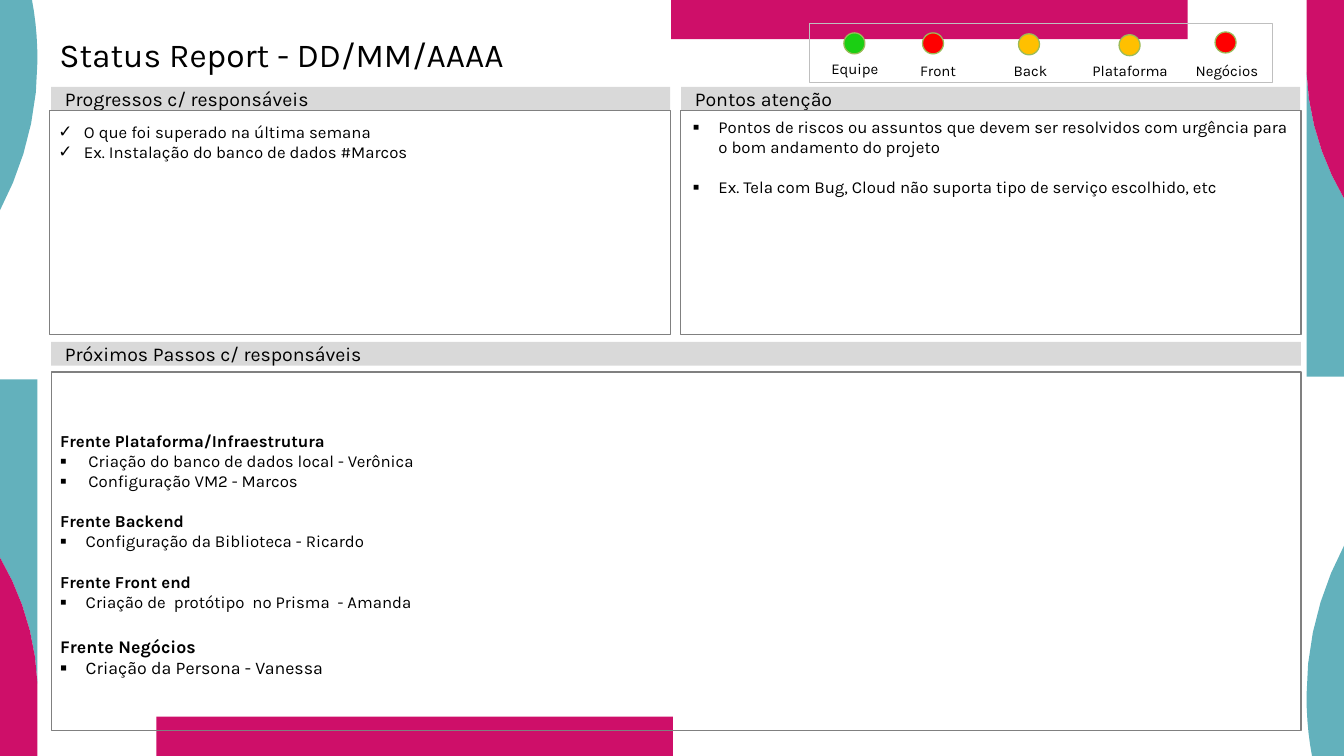
from lxml import etree
from pptx import Presentation
from pptx.dml.color import RGBColor
from pptx.enum.shapes import MSO_SHAPE
from pptx.enum.text import MSO_ANCHOR, PP_ALIGN
from pptx.oxml.ns import qn
from pptx.util import Inches, Pt

RECT, OVAL = MSO_SHAPE.RECTANGLE, MSO_SHAPE.OVAL
TOP, MIDDLE, BOTTOM = MSO_ANCHOR.TOP, MSO_ANCHOR.MIDDLE, MSO_ANCHOR.BOTTOM
LEFT, CENTER = PP_ALIGN.LEFT, PP_ALIGN.CENTER

WIDE, HIGH = 14.7, 8.27
FONT = "Karla"
CUTS = 5  # straight pieces per curve
COLORS = {
    "teal": "63B1BC", "pink": "CE0F69", "black": "000000",
    "band": "D9D9D9", "edge": "808080", "frame": "BFBFBF",
    "ring": "9BBB59", "green": "1BCF13", "red": "FF0000", "amber": "FFC000",
}

# Left edge outlines: a pair is a corner, six numbers are a curve
EDGES = [
    ("teal", [(0.35, 0), (0, 0), (0, 2.3), (0.26, 1.81, 0.41, 1.25, 0.41, 0.66),
              (0.41, 0.43, 0.39, 0.21, 0.35, 0)]),
    ("teal", [(0.41, 7.48), (0.41, 4.15), (0, 4.15), (0, 6.1),
              (0.24, 6.51, 0.39, 6.98, 0.41, 7.48)]),
    ("pink", [(0, 6.1), (0, 8.27), (0.41, 8.27), (0.41, 7.48),
              (0.39, 6.98, 0.24, 6.51, 0, 6.1)]),
]

# Name, label left and top, light left and top, colour
LIGHTS = [
    ("Equipe", 8.86, 0.65, 9.23, 0.36, "green"),
    ("Front", 9.77, 0.67, 10.09, 0.36, "red"),
    ("Back", 10.78, 0.67, 11.14, 0.37, "amber"),
    ("Plataforma", 11.87, 0.67, 12.24, 0.38, "amber"),
    ("Negócios", 12.93, 0.67, 13.29, 0.35, "red"),
]

BANDS = [
    ("Progressos c/ responsáveis", 0.56, 0.95, 6.77),
    ("Pontos atenção", 7.45, 0.95, 6.77),
    ("Próximos Passos c/ responsáveis", 0.56, 3.74, 13.67),
]

DONE = ["O que foi superado na última semana",
        "Ex. Instalação do banco de dados #Marcos"]
RISKS = ["Pontos de riscos ou assuntos que devem ser resolvidos com urgência "
         "para o bom andamento do projeto",
         "Ex. Tela com Bug, Cloud não suporta tipo de serviço escolhido, etc"]

# Heading, size, space above, bullet indent, tasks
FRONTS = [
    ("Frente Plataforma/Infraestrutura", 13.2, 0, 0.31,
     ["Criação do banco de dados local - Verônica", "Configuração VM2 - Marcos"]),
    ("Frente Backend", 13.2, 15.8, 0.28, ["Configuração da Biblioteca - Ricardo"]),
    ("Frente Front end", 13.2, 15.8, 0.28,
     ["Criação de  protótipo  no Prisma  - Amanda"]),
    ("Frente Negócios", 14, 19, 0.28, ["Criação da Persona - Vanessa"]),
]


def rgb(name):
    return RGBColor.from_string(COLORS[name])


def paint(shape, fill=None, line=None, width=1):
    shape.shadow.inherit = False
    if fill:
        shape.fill.solid()
        shape.fill.fore_color.rgb = rgb(fill)
    else:
        shape.fill.background()
    if line:
        shape.line.color.rgb = rgb(line)
        shape.line.width = Pt(width)
    else:
        shape.line.fill.background()
    return shape


def add_form(slide, kind, box, fill=None, line=None, width=1):
    shape = slide.shapes.add_shape(kind, *map(Inches, box))
    return paint(shape, fill, line, width)


def trace(steps):
    """Turn corners and curves into a list of points."""
    points = []
    for step in steps:
        if len(step) == 2:
            points.append(step)
            continue
        knots = [points[-1], step[:2], step[2:4], step[4:]]
        for i in range(1, CUTS + 1):
            t = i / CUTS
            parts = ((1 - t) ** 3, 3 * t * (1 - t) ** 2, 3 * t * t * (1 - t), t ** 3)
            points.append(tuple(sum(p * k[axis] for p, k in zip(parts, knots))
                                for axis in (0, 1)))
    return points[:-1]  # the last point meets the first


def add_edge(slide, color, points):
    spots = [(Inches(x), Inches(y)) for x, y in points]
    pen = slide.shapes.build_freeform(*spots[0])
    pen.add_line_segments(spots[1:], close=True)
    paint(pen.convert_to_shape(), color)


def add_decor(slide):
    # The right side is the left side turned half around
    for color, steps in EDGES:
        points = trace(steps)
        add_edge(slide, color, points)
        add_edge(slide, color, [(WIDE - x, HIGH - y) for x, y in points])
    for left, top in ((7.34, 0), (1.71, 7.84)):
        add_form(slide, RECT, (left, top, 5.65, 0.43), "pink")


def set_text(shape, lines, size, pads, anchor=TOP, align=LEFT, wrap=True):
    frame = shape.text_frame
    frame.text = "\n".join(lines)
    frame.word_wrap = wrap
    frame.vertical_anchor = anchor
    (frame.margin_left, frame.margin_top,
     frame.margin_right, frame.margin_bottom) = map(Inches, pads)
    for para in frame.paragraphs:
        para.alignment = align
        style(para, size)
    return frame.paragraphs


def style(para, size, bold=False):
    for run in para.runs:
        run.font.name = FONT
        run.font.size = Pt(size)
        run.font.bold = bold
        run.font.color.rgb = rgb("black")


def add_bullet(para, mark, indent):
    props = para._p.get_or_add_pPr()
    props.set("marL", str(Inches(indent)))
    props.set("indent", str(-Inches(indent)))
    etree.SubElement(props, qn("a:buFont")).set("typeface", FONT)
    etree.SubElement(props, qn("a:buChar")).set("char", mark)


def add_label(slide, box, text, size, pads, **look):
    shape = slide.shapes.add_textbox(*map(Inches, box))
    return set_text(shape, [text], size, pads, **look)[0]


def add_list(shape, lines, mark, pads, gap=0):
    for i, para in enumerate(set_text(shape, lines, 13.2, pads)):
        para.space_before = Pt(gap if i else 0)
        add_bullet(para, mark, 0.28)


def add_plan(slide):
    box = add_form(slide, RECT, (0.56, 4.07, 13.67, 3.92), line="edge")
    lines = [text for head, *_, tasks in FRONTS for text in (head, *tasks)]
    paras = iter(set_text(box, lines, 13.2, (0.1, 0.12, 0.1, 0.05), MIDDLE))
    for _, size, gap, indent, tasks in FRONTS:
        head = next(paras)
        head.space_before = Pt(gap)
        style(head, size, bold=True)
        for _ in tasks:
            para = next(paras)
            style(para, size)
            add_bullet(para, "▪", indent)


def add_lights(slide):
    for name, left, top, x, y, color in LIGHTS:
        add_label(slide, (left, top, 0.98, 0.2), name, 11.8,
                  (0.06, 0.06, 0.06, 0), anchor=BOTTOM, align=CENTER, wrap=False)
        add_form(slide, OVAL, (x, y, 0.23, 0.23), color, "ring")
    add_form(slide, RECT, (8.85, 0.25, 5.07, 0.65), line="frame", width=0.5)


def main():
    deck = Presentation()
    deck.slide_width, deck.slide_height = Inches(WIDE), Inches(HIGH)
    slide = deck.slides.add_slide(deck.slide_layouts[6])
    add_decor(slide)

    # Title and status lights
    title = add_label(slide, (0.53, 0.42, 13.23, 0.88),
                      "Status Report - DD/MM/AAAA", 26.4, (0.12, 0, 0.12, 0))
    title.line_spacing = 0.9
    add_lights(slide)

    # Section bands
    for text, left, top, width in BANDS:
        band = add_form(slide, RECT, (left, top, width, 0.26), "band")
        set_text(band, [text], 15.4, (0.15, 0.07, 0.15, 0.07), MIDDLE)

    # Section contents
    done = add_form(slide, RECT, (0.54, 1.21, 6.79, 2.45), line="edge")
    add_list(done, DONE, "✓", (0.1, 0.12, 0.1, 0.05))
    add_form(slide, RECT, (7.44, 1.21, 6.79, 2.45), line="edge")
    risks = slide.shapes.add_textbox(*map(Inches, (7.48, 1.23, 6.74, 0.99)))
    add_list(risks, RISKS, "▪", (0.1, 0.05, 0.1, 0.05), gap=15.8)
    add_plan(slide)

    deck.save("out.pptx")


if __name__ == "__main__":
    main()
